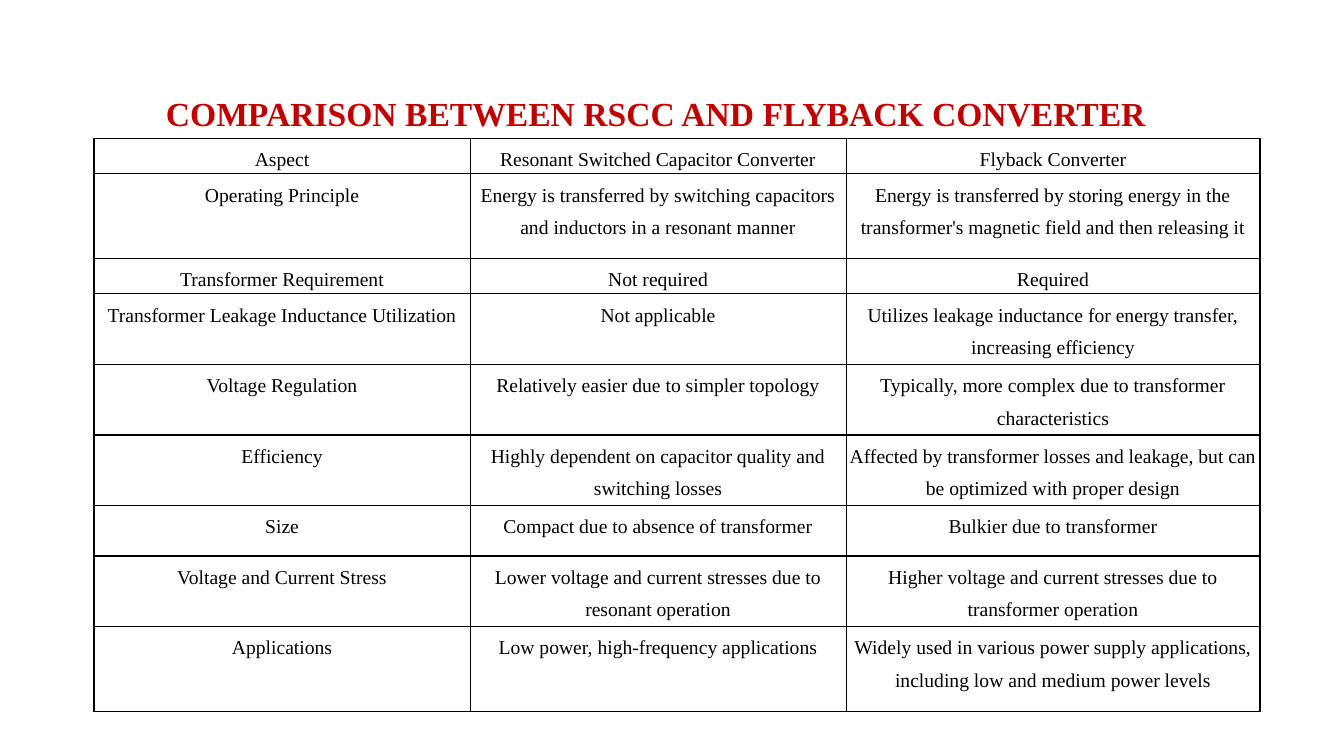
from lxml import etree
from pptx import Presentation
from pptx.dml.color import RGBColor
from pptx.enum.text import MSO_ANCHOR, MSO_AUTO_SIZE, PP_ALIGN
from pptx.oxml.ns import qn
from pptx.util import Pt

CENTER = PP_ALIGN.CENTER
TOP = MSO_ANCHOR.TOP
GROW = MSO_AUTO_SIZE.SHAPE_TO_FIT_TEXT
RED = RGBColor(0xC0, 0x00, 0x00)
BLACK = RGBColor(0x00, 0x00, 0x00)
FONT = "Times New Roman"

WIDTHS = [268.6, 268.6, 295.6]
# Each row: height in points, then the three cell texts
ROWS = [
    (25.2, "Aspect", "Resonant Switched Capacitor Converter", "Flyback Converter"),
    (60.5, "Operating Principle",
     "Energy is transferred by switching capacitors and inductors in a resonant manner",
     "Energy is transferred by storing energy in the transformer's magnetic field "
     "and then releasing it"),
    (23, "Transformer Requirement", "Not required", "Required"),
    (48.2, "Transformer Leakage Inductance Utilization", "Not applicable",
     "Utilizes leakage inductance for energy transfer, increasing efficiency"),
    (36, "Voltage Regulation", "Relatively easier due to simpler topology",
     "Typically, more complex due to transformer characteristics"),
    (48.2, "Efficiency", "Highly dependent on capacitor quality and switching losses",
     "Affected by transformer losses and leakage, but can be optimized with proper design"),
    (36, "Size", "Compact due to absence of transformer", "Bulkier due to transformer"),
    (41, "Voltage and Current Stress",
     "Lower voltage and current stresses due to resonant operation",
     "Higher voltage and current stresses due to transformer operation"),
    (60.5, "Applications", "Low power, high-frequency applications",
     "Widely used in various power supply applications, "
     "including low and medium power levels"),
]


def write(frame, text, size, color, bold=False):
    """Put one centred run into the frame and return its paragraph."""
    para = frame.paragraphs[0]
    para.alignment = CENTER
    run = para.add_run()
    run.text = text
    run.font.name = FONT
    run.font.size = Pt(size)
    run.font.bold = bold
    run.font.color.rgb = color
    return para


def border(cell):
    """Draw a 1 pt line on all four sides of the cell."""
    props = cell._tc.get_or_add_tcPr()
    for side in ("a:lnL", "a:lnR", "a:lnT", "a:lnB"):
        line = etree.SubElement(props, qn(side), w=str(Pt(1)))
        fill = etree.SubElement(line, qn("a:solidFill"))
        etree.SubElement(fill, qn("a:srgbClr"), val=str(BLACK))


deck = Presentation()
deck.slide_width = Pt(960)
deck.slide_height = Pt(540)
slide = deck.slides.add_slide(deck.slide_layouts[6])

# Title
title = slide.shapes.add_textbox(Pt(97.2), Pt(62.6), Pt(736.6), Pt(36)).text_frame
title.word_wrap = True
title.auto_size = GROW
write(title, " COMPARISON BETWEEN RSCC AND FLYBACK CONVERTER", 24, RED, True)

# Comparison table
height = sum(row[0] for row in ROWS)
table = slide.shapes.add_table(len(ROWS), len(WIDTHS), Pt(67.2), Pt(98.9),
                               Pt(sum(WIDTHS)), Pt(height)).table
table.first_row = False
table.horz_banding = False
for column, width in zip(table.columns, WIDTHS):
    column.width = Pt(width)
for row, (height, *texts) in zip(table.rows, ROWS):
    row.height = Pt(height)
    for cell, text in zip(row.cells, texts):
        cell.margin_left = cell.margin_right = Pt(2)
        cell.margin_top = cell.margin_bottom = Pt(0)
        cell.vertical_anchor = TOP
        border(cell)
        cell.fill.background()
        write(cell.text_frame, text, 14, BLACK).line_spacing = 1.5

deck.save("out.pptx")
